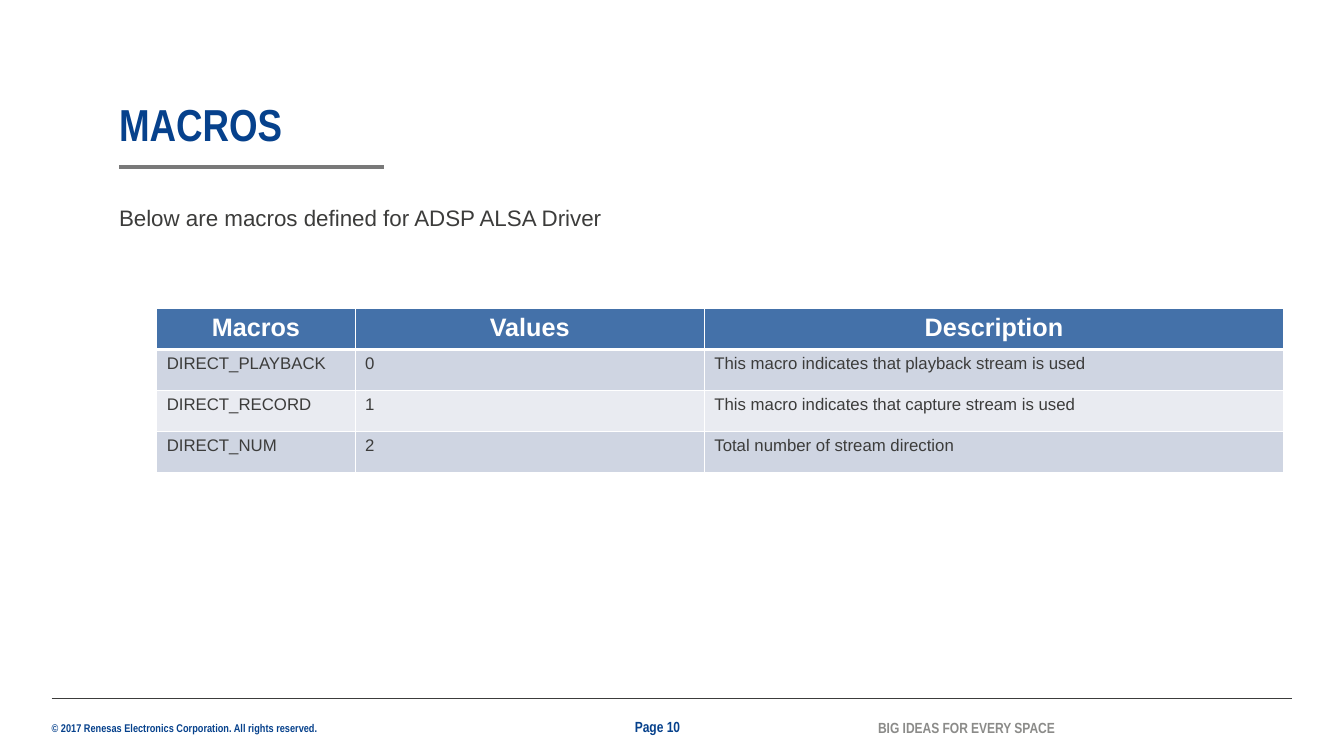
from dataclasses import dataclass

from lxml import etree
from pptx import Presentation
from pptx import util as u
from pptx.dml.color import RGBColor
from pptx.enum import shapes, text
from pptx.oxml import ns


@dataclass(frozen=True)
class Theme:
    """Colours, fonts and type sizes of the deck."""
    navy: str = "06418C"
    ink: str = "3C3C3B"
    rule: str = "797979"
    gray: str = "8B8B89"
    white: str = "FFFFFF"
    head: str = "4471A9"
    bands: tuple = ("CFD5E2", "E9EBF1")
    body: str = "Arial"
    slim: str = "Arial Narrow"
    title: float = 32
    lead: float = 16
    column: float = 18
    cell: float = 12
    foot: float = 10.5
    legal: float = 8


class Page:
    """Draws styled elements on one slide."""

    def __init__(self, deck, theme):
        self.theme = theme
        self.slide = deck.slides.add_slide(deck.slide_layouts[6])

    def run(self, para, words, size, color, face, bold=False):
        """Add one styled run."""
        run = para.add_run()
        run.text = words
        font = run.font
        font.name, font.size, font.bold = face, u.Pt(size), bold
        font.color.rgb = RGBColor.from_string(color)

    def label(self, box, words, size, color, face, bold=True,
              wrap=True, anchor=text.MSO_ANCHOR.MIDDLE, space=None, after=None):
        """Add a text box without margins."""
        frame = self.slide.shapes.add_textbox(*map(u.Cm, box)).text_frame
        frame.margin_left = frame.margin_right = 0
        frame.margin_top = frame.margin_bottom = 0
        frame.word_wrap = wrap
        frame.auto_size = text.MSO_AUTO_SIZE.SHAPE_TO_FIT_TEXT
        frame.vertical_anchor = anchor
        para = frame.paragraphs[0]
        if space:
            para.line_spacing = space
        if after:
            para.space_after = u.Pt(after)
        self.run(para, words, size, color, face, bold)

    def line(self, left, right, top, color, width):
        """Add a level rule."""
        line = self.slide.shapes.add_connector(
            shapes.MSO_CONNECTOR.STRAIGHT,
            u.Cm(left), u.Cm(top), u.Cm(right), u.Cm(top))
        line.line.color.rgb = RGBColor.from_string(color)
        line.line.width = u.Pt(width)
        etree.SubElement(line._element.spPr, ns.qn("a:effectLst"))

    def edge(self, cell, side, width):
        """Add a white border to one side of a cell."""
        props = cell._tc.get_or_add_tcPr()
        edge = etree.SubElement(props, ns.qn("a:ln" + side), w=str(u.Pt(width)))
        fill = etree.SubElement(edge, ns.qn("a:solidFill"))
        etree.SubElement(fill, ns.qn("a:srgbClr"), val=self.theme.white)

    def table(self, left, top, widths, height, rows):
        """Add a table with a header and banded rows."""
        t = self.theme
        grid = self.slide.shapes.add_table(
            len(rows), len(widths), u.Cm(left), u.Cm(top),
            u.Cm(sum(widths)), u.Cm(height * len(rows))).table
        for col, width in zip(grid.columns, widths):
            col.width = u.Cm(width)
        for i, row in enumerate(rows):
            grid.rows[i].height = u.Cm(height)
            for j, words in enumerate(row):
                cell = grid.cell(i, j)
                for side in "LRTB":
                    thick = (i, side) in ((0, "B"), (1, "T"))
                    self.edge(cell, side, 3 if thick else 1)
                shade = t.bands[(i - 1) % 2] if i else t.head
                cell.fill.solid()
                cell.fill.fore_color.rgb = RGBColor.from_string(shade)
                para = cell.text_frame.paragraphs[0]
                if i:
                    self.run(para, words, t.cell, t.ink, t.body)
                else:
                    para.alignment = text.PP_ALIGN.CENTER
                    self.run(para, words, t.column, t.white, t.body, True)


def main():
    """Build the macros slide."""
    deck = Presentation()
    deck.slide_width, deck.slide_height = u.Cm(33.87), u.Cm(19.05)
    t = Theme()
    page = Page(deck, t)
    top = text.MSO_ANCHOR.TOP
    page.label((1.3, 18.18, 6.8, 0.33),
               "© 2017 Renesas Electronics Corporation. All rights reserved.",
               t.legal, t.navy, t.slim, wrap=False, anchor=top)
    page.line(1.3, 32.57, 17.6, t.ink, 0.5)
    page.line(3, 9.68, 4.2, t.rule, 3)
    page.label((22.13, 18.11, 4.57, 0.45), "BIG IDEAS FOR EVERY SPACE",
               t.foot, t.gray, t.slim)
    page.label((3, 2.6, 25, 1.22), "MACROS", t.title, t.navy, t.slim,
               anchor=text.MSO_ANCHOR.BOTTOM, space=0.9)
    page.label((16, 18.09, 1.85, 0.45), "Page 10", t.foot, t.navy, t.slim)
    page.label((3, 5, 12.3, 0.74),
               "Below are macros defined for ADSP ALSA Driver",
               t.lead, t.ink, t.body, bold=False, wrap=False, anchor=top,
               space=1.2, after=8)
    page.table(3.95, 7.78, (5, 8.8, 14.6), 1.03, (
        ("Macros", "Values", "Description"),
        ("DIRECT_PLAYBACK", "0",
         "This macro indicates that playback stream is used"),
        ("DIRECT_RECORD", "1",
         "This macro indicates that capture stream is used"),
        ("DIRECT_NUM", "2", "Total number of stream direction")))
    deck.save("out.pptx")


if __name__ == "__main__":
    main()
